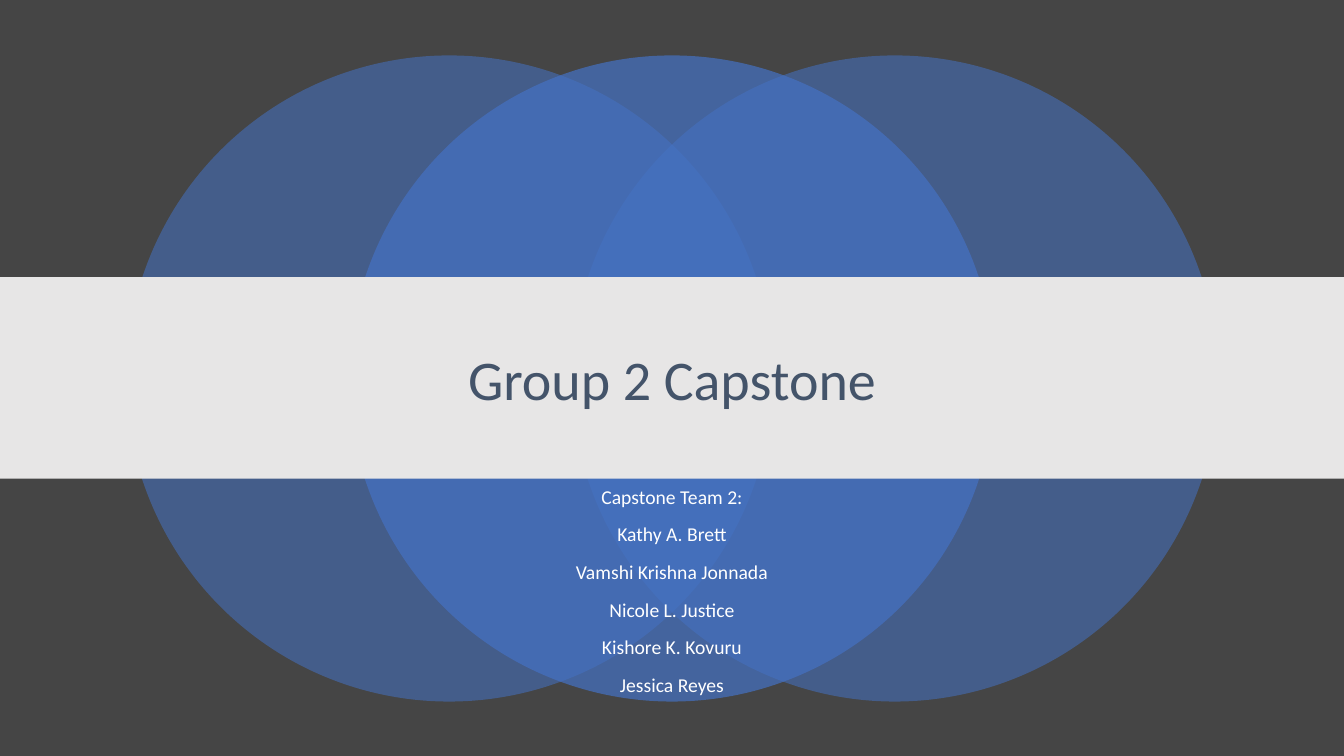
from lxml.etree import SubElement
from pptx import Presentation
from pptx.dml.color import RGBColor
from pptx.enum.shapes import MSO_SHAPE as Shape
from pptx.enum.text import MSO_ANCHOR as Anchor, MSO_AUTO_SIZE as AutoSize, PP_ALIGN as Align
from pptx.oxml.ns import qn
from pptx.util import Inches, Pt

TITLE = ["Group 2 Capstone"]
TEAM = [
    "Capstone Team 2:",
    "Kathy A. Brett",
    "Vamshi Krishna Jonnada",
    "Nicole L. Justice",
    "Kishore K. Kovuru",
    "Jessica Reyes",
]

CHARCOAL = RGBColor(0x45, 0x45, 0x45)
BLUE = RGBColor(0x44, 0x72, 0xC4)
PALE = RGBColor(0xE7, 0xE6, 0xE6)
SLATE = RGBColor(0x44, 0x54, 0x6A)
WHITE = RGBColor(0xFF, 0xFF, 0xFF)

WIDTH, HEIGHT = 13.33, 7.5
DIAMETER, CIRCLE_TOP, CIRCLE_STEP = 6.41, 0.55, 2.21
BAND_TOP, BAND_HEIGHT = 2.75, 2
TEXT_WIDTH = 0.75 * WIDTH
CIRCLES = [(-1, 55), (1, 55), (0, 70)]

TITLE_FORMAT = {"size": Pt(40), "name": "Calibri", "bold": False}
TEAM_FORMAT = {"size": Pt(14), "name": "Calibri", "bold": False}
TITLE_SPACING = {"alignment": Align.CENTER, "line_spacing": 0.9}
TEAM_SPACING = {"alignment": Align.CENTER, "line_spacing": 1.0}


def apply(target, values):
    for key, value in values.items():
        setattr(target, key, value)


def add_solid(shapes, kind, box, color, opacity=100):
    solid = shapes.add_shape(kind, *map(Inches, box))
    solid.shadow.inherit = False
    solid.line.fill.background()
    solid.fill.solid()
    solid.fill.fore_color.rgb = color
    if opacity < 100:
        tint = solid.fill._xPr.find(".//" + qn("a:srgbClr"))
        SubElement(tint, qn("a:alpha")).set("val", str(opacity * 1000))


def fill_text(slide, holder, lines, top, height, anchor, spacing, font, color):
    slide.shapes._spTree.append(holder.element)
    box = ((WIDTH - TEXT_WIDTH) / 2, top, TEXT_WIDTH, height)
    apply(holder, dict(zip(("left", "top", "width", "height"), map(Inches, box))))
    frame = holder.text_frame
    frame.text = "\n".join(lines)
    apply(frame, {"word_wrap": True, "auto_size": AutoSize.NONE, "vertical_anchor": anchor})
    for index, paragraph in enumerate(frame.paragraphs):
        apply(paragraph, spacing)
        paragraph.space_before = Pt(10 if index else 0)
        for run in paragraph.runs:
            apply(run.font, font)
            run.font.color.rgb = color


def main():
    deck = Presentation()
    apply(deck, {"slide_width": Inches(WIDTH), "slide_height": Inches(HEIGHT)})
    slide = deck.slides.add_slide(deck.slide_layouts[0])
    slide.background.fill.solid()
    slide.background.fill.fore_color.rgb = CHARCOAL

    venn = slide.shapes.add_group_shape()
    for offset, opacity in CIRCLES:
        left = (WIDTH - DIAMETER) / 2 + offset * CIRCLE_STEP
        add_solid(venn.shapes, Shape.OVAL, (left, CIRCLE_TOP, DIAMETER, DIAMETER), BLUE, opacity)
    add_solid(slide.shapes, Shape.RECTANGLE, (0, BAND_TOP, WIDTH, BAND_HEIGHT), PALE)

    fill_text(slide, slide.shapes.title, TITLE, 3.04, 1.51, Anchor.MIDDLE,
              TITLE_SPACING, TITLE_FORMAT, SLATE)
    fill_text(slide, slide.placeholders[1], TEAM, 4.76, 2.41, Anchor.TOP,
              TEAM_SPACING, TEAM_FORMAT, WHITE)
    deck.save("out.pptx")


if __name__ == "__main__":
    main()
